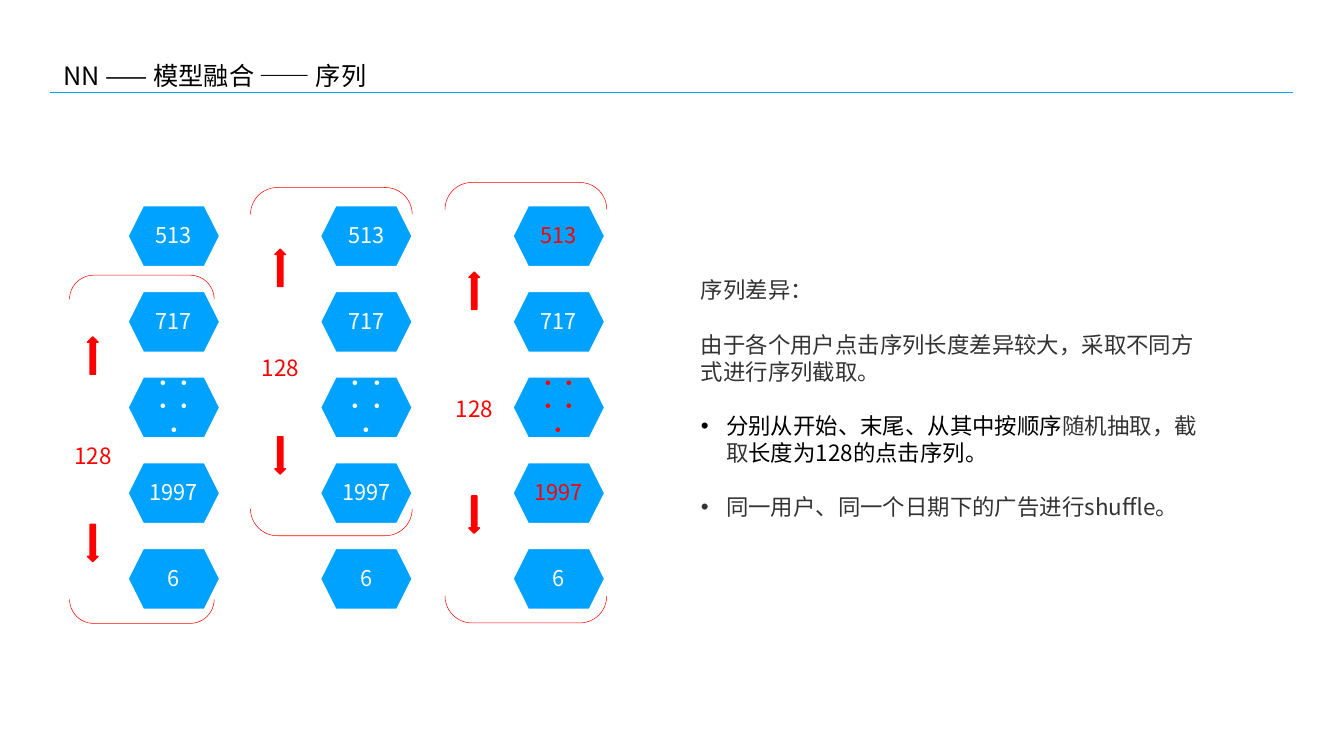
from lxml import etree
from pptx import Presentation
from pptx.dml.color import RGBColor
from pptx.enum.shapes import MSO_CONNECTOR, MSO_SHAPE
from pptx.enum.text import MSO_ANCHOR, PP_ALIGN
from pptx.oxml.ns import qn
from pptx.util import Inches, Pt

HEXAGON, ARROW, BRACKETS = MSO_SHAPE.HEXAGON, MSO_SHAPE.UP_ARROW, MSO_SHAPE.DOUBLE_BRACKET
STRAIGHT = MSO_CONNECTOR.STRAIGHT
MIDDLE = MSO_ANCHOR.MIDDLE
LEFT, CENTER = PP_ALIGN.LEFT, PP_ALIGN.CENTER
FONT = "Noto Sans CJK SC"
BLUE, RED, WHITE, BLACK, GREY = "00A2FF", "FF0000", "FFFFFF", "000000", "333333"
WIDTH, HEIGHT = 26.67, 15
COLUMN_PITCH, ROW_PITCH = 3.82, 1.7
HEX_WIDTH, HEX_HEIGHT = 1.82, 1.21
ARROW_WIDTH, ARROW_HEIGHT = 0.21, 0.74
ITEMS = ["513", "717", "·····", "1997", "6"]


def color(value):
    """Turn a hex string into a colour."""
    return RGBColor.from_string(value)


def inches(box):
    """Turn left, top, width and height into lengths."""
    return [Inches(value) for value in box]


def style_run(run, size, ink):
    """Set size, colour and both typefaces of a run."""
    run.font.size, run.font.name = Pt(size), FONT
    run.font.color.rgb = color(ink)
    east_asian = etree.SubElement(run.font._element, qn("a:ea"))
    east_asian.set("typeface", FONT)


def add_figure(shapes, kind, box, line, weight, fill=None, rotation=0):
    """Add a preset shape with plain fill and outline."""
    figure = shapes.add_shape(kind, *inches(box))
    figure.shadow.inherit = False
    figure.rotation = rotation
    figure.line.color.rgb, figure.line.width = color(line), Pt(weight)
    if fill:
        figure.fill.solid()
        figure.fill.fore_color.rgb = color(fill)
    else:
        figure.fill.background()


def add_label(shapes, box, text, size, ink, inset, align=CENTER, wrap=True, spacing=1.2):
    """Add one line of vertically centred text."""
    frame = shapes.add_textbox(*inches(box)).text_frame
    frame.word_wrap, frame.vertical_anchor = wrap, MIDDLE
    frame.margin_left = frame.margin_right = Inches(inset)
    frame.margin_top = frame.margin_bottom = Inches(inset)
    frame.text = text
    label = frame.paragraphs[0]
    label.alignment, label.line_spacing = align, Pt(size * spacing)
    style_run(label.runs[0], size, ink)


def add_header(slide, box):
    """Place the title and the rule beneath it."""
    left, top, width, height = box
    rule = slide.shapes.add_connector(
        STRAIGHT, *inches((left, top + height, left + width, top + height)))
    rule.line.color.rgb, rule.line.width = color(BLUE), Pt(2)
    etree.SubElement(rule._element.spPr, qn("a:effectLst"))
    add_label(slide.shapes, (left + 0.18, top, width * 0.88, height + 0.04),
              "NN —— 模型融合 —— 序列", 36, BLACK, 0.08, LEFT)


def add_sequence(slide, left, top, red_items):
    """Stack one hexagon per item, each grouped with its number."""
    for row, item in enumerate(ITEMS):
        y = top + row * ROW_PITCH
        cell = slide.shapes.add_group_shape().shapes
        add_figure(cell, HEXAGON, (left, y, HEX_WIDTH, HEX_HEIGHT), WHITE, 2, BLUE)
        add_label(cell, (left + HEX_WIDTH * 0.14, y + HEX_HEIGHT * 0.14,
                         HEX_WIDTH * 0.72, HEX_HEIGHT * 0.72),
                  item, 31, RED if item in red_items else WHITE, 0.13, spacing=1.08)


def add_window(slide, box, axis, reach):
    """Bracket a span of 128 items, with arrows to both ends."""
    left, top, width, height = box
    middle, x = top + height / 2, left + axis
    add_figure(slide.shapes, BRACKETS,
               (left + (width - height) / 2, top + (height - width) / 2, height, width),
               RED, 0.75, rotation=90)
    add_label(slide.shapes, (x - 0.47, middle - 0.23, 0.95, 0.7),
              "128", 32, RED, 0.08, wrap=False)
    for offset, rotation in ((-reach, 0), (reach, 180)):
        add_figure(slide.shapes, ARROW,
                   (x - ARROW_WIDTH / 2, middle + offset - ARROW_HEIGHT / 2,
                    ARROW_WIDTH, ARROW_HEIGHT), RED, 2, RED, rotation)


def add_explanation(slide, box):
    """Write the notes on how the sequences differ."""
    notes = [
        (False, [("序列差异：", GREY)]),
        (False, [("由于各个用户点击序列长度差异较大，采取不同方式进行序列截取。", GREY)]),
        (True, [("分别从开始、末尾、从其中按顺序", BLACK), ("随机抽取，截取", GREY),
                ("长度为128的点击序列。", BLACK)]),
        (True, [("同一用户、同一个日期下的广告进行shuffle。", GREY)]),
    ]
    frame = slide.shapes.add_textbox(*inches(box)).text_frame
    frame.word_wrap = True
    for index, (bulleted, pieces) in enumerate(notes):
        note = frame.add_paragraph() if index else frame.paragraphs[0]
        note.line_spacing = Pt(38.8)
        if index:
            note.space_before = Pt(38.8)
        if bulleted:
            properties = note._p.get_or_add_pPr()
            properties.set("marL", str(Inches(0.5)))
            properties.set("indent", str(-Inches(0.5)))
            etree.SubElement(properties, qn("a:buFont")).set("typeface", "Arial")
            etree.SubElement(properties, qn("a:buChar")).set("char", "•")
        for text, ink in pieces:
            run = note.add_run()
            run.text = text
            style_run(run, 32, ink)


def main():
    """Build the slide and save it."""
    deck = Presentation()
    deck.slide_width, deck.slide_height = Inches(WIDTH), Inches(HEIGHT)
    slide = deck.slides.add_slide(deck.slide_layouts[6])
    add_header(slide, (1, 1.11, 24.65, 0.72))
    add_explanation(slide, (13.81, 5.43, 10.06, 4.95))
    windows = [
        ((1.38, 5.46, 2.87, 6.91), 0.46, 1.86, ()),
        ((4.97, 3.72, 3.21, 6.91), 0.59, 1.86, ()),
        ((8.83, 3.62, 3.21, 8.74), 0.58, 2.22, ("513", "·····", "1997")),
    ]
    for column, (box, axis, reach, red_items) in enumerate(windows):
        add_sequence(slide, 2.54 + column * COLUMN_PITCH, 4.08, red_items)
        add_window(slide, box, axis, reach)
    deck.save("out.pptx")


if __name__ == "__main__":
    main()
